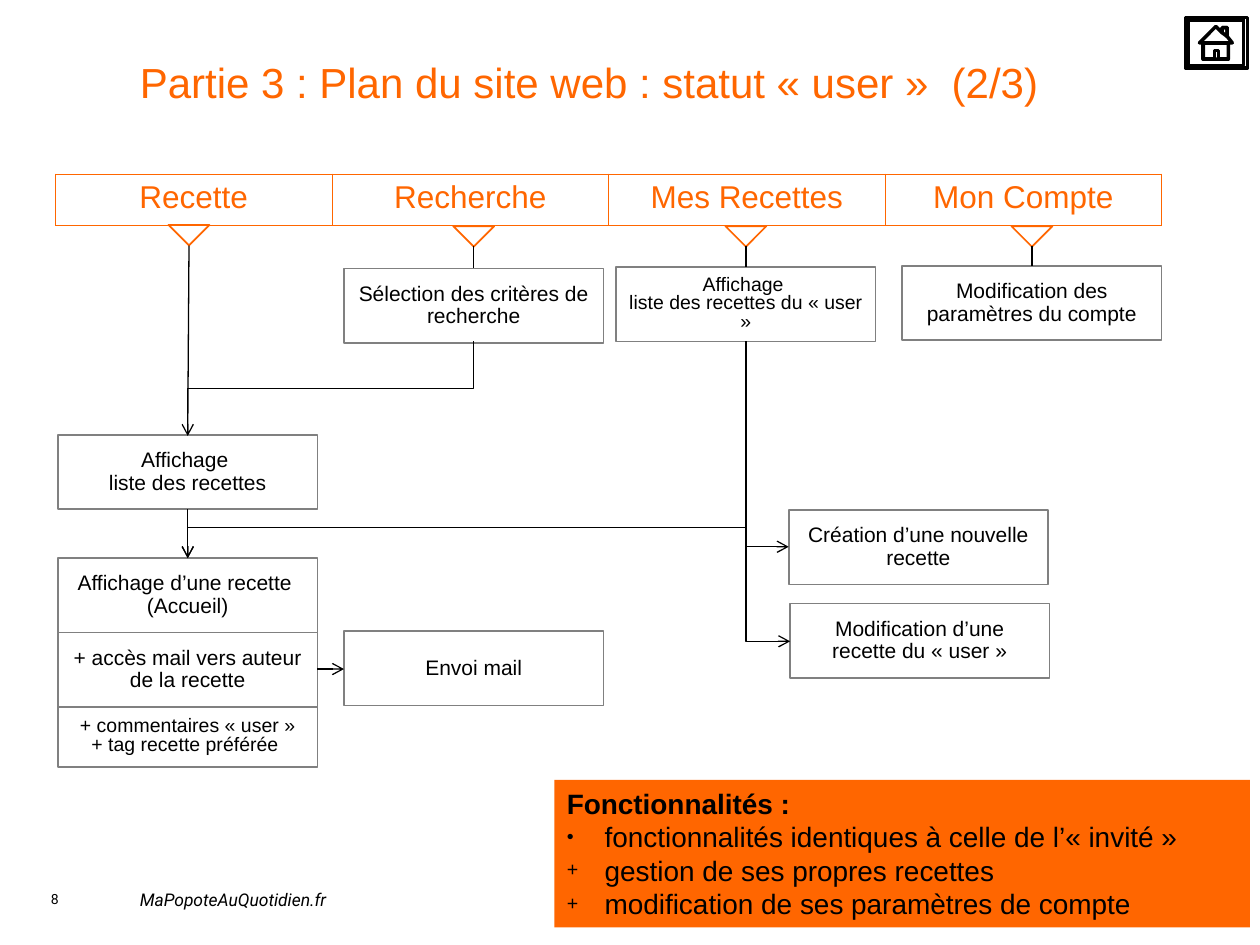
"""Build the site map slide for the "user" status."""
import pptx
import pptx.dml.color
import pptx.enum.shapes
import pptx.enum.text
import pptx.oxml
import pptx.oxml.ns
import pptx.util
from lxml import etree

Inches, Pt = pptx.util.Inches, pptx.util.Pt
qn = pptx.oxml.ns.qn
SHAPE = pptx.enum.shapes.MSO_SHAPE
CONNECTOR = pptx.enum.shapes.MSO_CONNECTOR
ALIGN = pptx.enum.text.PP_ALIGN
ANCHOR = pptx.enum.text.MSO_ANCHOR

COLORS = {"orange": "FF6600", "black": "000000", "white": "FFFFFF", "gray": "808080"}

TITLE = "Partie 3 : Plan du site web : statut « user »  (2/3)"
MENU = ["Recette", "Recherche", "Mes Recettes", "Mon Compte"]
MENU_LEFT, MENU_TOP, MENU_WIDTH, MENU_HEIGHT = 0.44, 1.38, 8.78, 0.41
MARKERS = [(1.5, 1.67), (3.76, 1.68), (5.92, 1.68), (8.19, 1.68)]
MARKER_SIZE = 0.23

PAGE_WIDTH, PAGE_HEIGHT = 2.06, 0.59
PAGES = [
    (0.46, 3.45, "Affichage \nliste des recettes"),
    (0.46, 4.43, "Affichage d’une recette \n(Accueil)"),
    (2.73, 2.13, "Sélection des critères de recherche"),
    (6.26, 4.05, "Création d’une nouvelle recette"),
    (6.27, 4.79, "Modification d’une recette du « user »"),
    (7.16, 2.11, "Modification des paramètres du compte"),
]
DENSE_PAGES = [
    (4.89, 2.12, PAGE_HEIGHT, "Affichage \nliste des recettes du « user »"),
    (0.46, 5.6, 0.49, "+ commentaires « user »\n+ tag recette préférée "),
]
MAIL_PAGES = [
    (0.46, 5.02, "+ accès mail vers auteur de la recette"),
    (2.73, 5.01, "Envoi mail"),
]

STRAIGHT_LINKS = [
    ((1.5, 1.95), (1.49, 3.45), False),
    ((3.76, 1.95), (3.76, 2.13), False),
    ((5.92, 1.95), (5.92, 2.12), False),
    ((8.19, 1.95), (8.19, 2.11), False),
    ((1.49, 4.04), (1.49, 4.43), True),
    ((2.52, 5.31), (2.73, 5.31), True),
]
BENT_LINKS = [
    ((3.76, 2.71), (1.49, 3.46), 0.5),
    ((5.92, 2.71), (1.49, 4.43), 0.86),
    ((5.92, 2.71), (6.26, 4.34), None),
    ((5.92, 2.71), (6.27, 5.09), None),
]

FEATURES_HEADING = "Fonctionnalités :"
FEATURES = [
    ("•", "fonctionnalités identiques à celle de l’« invité »"),
    ("+", "gestion de ses propres recettes"),
    ("+", "modification de ses paramètres de compte"),
]

HOME_OUTLINES = [
    [(9.41, 0.14), (9.9, 0.14), (9.9, 0.54), (9.41, 0.54)],
    [(9.43, 0.16), (9.87, 0.16), (9.87, 0.52), (9.43, 0.52)],
    [(9.65, 0.21), (9.7, 0.26), (9.7, 0.22), (9.74, 0.22), (9.74, 0.29), (9.78, 0.34),
     (9.75, 0.34), (9.75, 0.47), (9.55, 0.47), (9.55, 0.34), (9.52, 0.34)],
    [(9.7, 0.26), (9.7, 0.22), (9.74, 0.22), (9.74, 0.29)],
    [(9.64, 0.4), (9.67, 0.4), (9.67, 0.47), (9.75, 0.47), (9.75, 0.34), (9.55, 0.34),
     (9.55, 0.47), (9.64, 0.47)],
]


def rgb(name):
    return pptx.dml.color.RGBColor.from_string(COLORS[name])


def write(frame, text, size, color="black", font="Arial", align=ALIGN.LEFT,
          spacing=None, italic=False):
    frame.text = text
    for paragraph in frame.paragraphs:
        paragraph.alignment = align
        if spacing:
            paragraph.line_spacing = spacing
        for run in paragraph.runs:
            run.font.size, run.font.name, run.font.italic = Pt(size), font, italic
            run.font.color.rgb = rgb(color)


def add_text(slide, box, text, size, margin=0.0, wrap=True, **style):
    frame = slide.shapes.add_textbox(*map(Inches, box)).text_frame
    frame.word_wrap = wrap
    frame.margin_left = frame.margin_right = Inches(margin)
    write(frame, text, size, **style)
    return frame


def outline(shape, fill, line, width=1):
    shape.shadow.inherit = False
    if fill:
        shape.fill.solid()
        shape.fill.fore_color.rgb = rgb(fill)
    else:
        shape.fill.background()
    if line:
        shape.line.color.rgb = rgb(line)
        shape.line.width = Pt(width)
    else:
        shape.line.fill.background()


def add_page(slide, left, top, text, height=PAGE_HEIGHT, size=12, spacing=0.9):
    page = slide.shapes.add_shape(
        SHAPE.RECTANGLE, *map(Inches, (left, top, PAGE_WIDTH, height)))
    outline(page, "white", "gray")
    page.text_frame.word_wrap = True
    page.text_frame.vertical_anchor = ANCHOR.MIDDLE
    write(page.text_frame, text, size, align=ALIGN.CENTER, spacing=spacing)


def add_link(slide, kind, start, end, arrow):
    link = slide.shapes.add_connector(kind, *map(Inches, (*start, *end)))
    link.line.color.rgb = rgb("black")
    link.line.width = Pt(0.75)
    if arrow:
        etree.SubElement(link.line._get_or_add_ln(), qn("a:tailEnd"), type="arrow")
    etree.SubElement(link._element.spPr, qn("a:effectLst"))
    return link


def add_bent_link(slide, start, end, bend):
    (x1, y1), (x2, y2) = start, end
    run, rise = y2 - y1, abs(x2 - x1)
    left, top = (x1 + x2 - run) / 2, (y1 + y2 - rise) / 2
    link = add_link(slide, CONNECTOR.ELBOW, (left, top), (left + run, top + rise), True)
    properties = link._element.spPr
    frame = properties.find(qn("a:xfrm"))
    geometry = properties.find(qn("a:prstGeom"))
    frame.set("rot", str((90 if x2 < x1 else 270) * 60000))
    if x2 > x1:
        frame.set("flipH", "1")
    if bend is None:
        geometry.set("prst", "bentConnector2")
    else:
        etree.SubElement(geometry.find(qn("a:avLst")), qn("a:gd"),
                         name="adj1", fmla=f"val {round(bend * 100000)}")


def add_menu(slide):
    box = MENU_LEFT, MENU_TOP, MENU_WIDTH, MENU_HEIGHT
    menu = slide.shapes.add_table(1, len(MENU), *map(Inches, box)).table
    menu.first_row = menu.horz_banding = False
    for cell, label in zip(menu.rows[0].cells, MENU):
        write(cell.text_frame, label, 18, "orange", align=ALIGN.CENTER)
        for side in ("lnL", "lnR", "lnT", "lnB"):
            border = etree.SubElement(cell._tc.get_or_add_tcPr(), qn(f"a:{side}"),
                                      w=str(Pt(0.45)))
            solid = etree.SubElement(border, qn("a:solidFill"))
            etree.SubElement(solid, qn("a:srgbClr"), val=COLORS["orange"])
        cell.fill.background()


def add_features(slide):
    panel = slide.shapes.add_shape(SHAPE.RECTANGLE, *map(Inches, (4.4, 6.19, 5.52, 1.17)))
    outline(panel, "orange", None)
    frame = panel.text_frame
    frame.word_wrap = True
    frame.vertical_anchor = ANCHOR.TOP
    write(frame, "\n".join([FEATURES_HEADING, *(text for _, text in FEATURES)]), 16)
    frame.paragraphs[0].runs[0].font.bold = True
    for paragraph, (bullet, _) in zip(frame.paragraphs[1:], FEATURES):
        properties = paragraph._p.get_or_add_pPr()
        properties.set("marL", str(Inches(0.3)))
        properties.set("indent", str(-Inches(0.3)))
        color = etree.SubElement(properties, qn("a:buClr"))
        etree.SubElement(color, qn("a:srgbClr"), val=COLORS["black"])
        etree.SubElement(properties, qn("a:buSzPct"), val="70000")
        etree.SubElement(properties, qn("a:buFont"), typeface="Arial")
        etree.SubElement(properties, qn("a:buChar"), char=bullet)


def add_home(slide):
    contours = [[tuple(map(Inches, point)) for point in points] for points in HOME_OUTLINES]
    builder = slide.shapes.build_freeform(*contours[0][0])
    builder.add_line_segments(contours[0][1:], close=True)
    for contour in contours[1:]:
        builder.move_to(*contour[0])
        builder.add_line_segments(contour[1:], close=True)
    outline(builder.convert_to_shape(), None, "black", 2)


def main():
    deck = pptx.Presentation()
    deck.slide_width, deck.slide_height = Inches(10), Inches(7.5)
    slide = deck.slides.add_slide(deck.slide_layouts[6])
    add_text(slide, (0.03, 7.02, 0.81, 0.24), "8", 8, 0.1, font="Roboto", align=ALIGN.CENTER)
    add_text(slide, (1.11, 7.01, 2.81, 0.24), "MaPopoteAuQuotidien.fr", 10, wrap=False,
             font="Roboto", italic=True)
    title = add_text(slide, (1.11, 0.45, 7.76, 1.08), TITLE, 24, color="orange")
    title.margin_top = title.margin_bottom = 0
    add_menu(slide)
    for center, top in MARKERS:
        marker = slide.shapes.add_shape(SHAPE.RIGHT_TRIANGLE, *map(
            Inches, (center - MARKER_SIZE / 2, top, MARKER_SIZE, MARKER_SIZE)))
        marker.rotation = 315
        outline(marker, None, "orange")
    for left, top, text in PAGES:
        add_page(slide, left, top, text)
    for left, top, height, text in DENSE_PAGES:
        add_page(slide, left, top, text, height, 11.1, 0.8)
    for left, top, text in MAIL_PAGES:
        add_page(slide, left, top, text)
    for start, end, arrow in STRAIGHT_LINKS:
        add_link(slide, CONNECTOR.STRAIGHT, start, end, arrow)
    for start, end, bend in BENT_LINKS:
        add_bent_link(slide, start, end, bend)
    add_features(slide)
    add_home(slide)
    deck.save("out.pptx")


if __name__ == "__main__":
    main()
